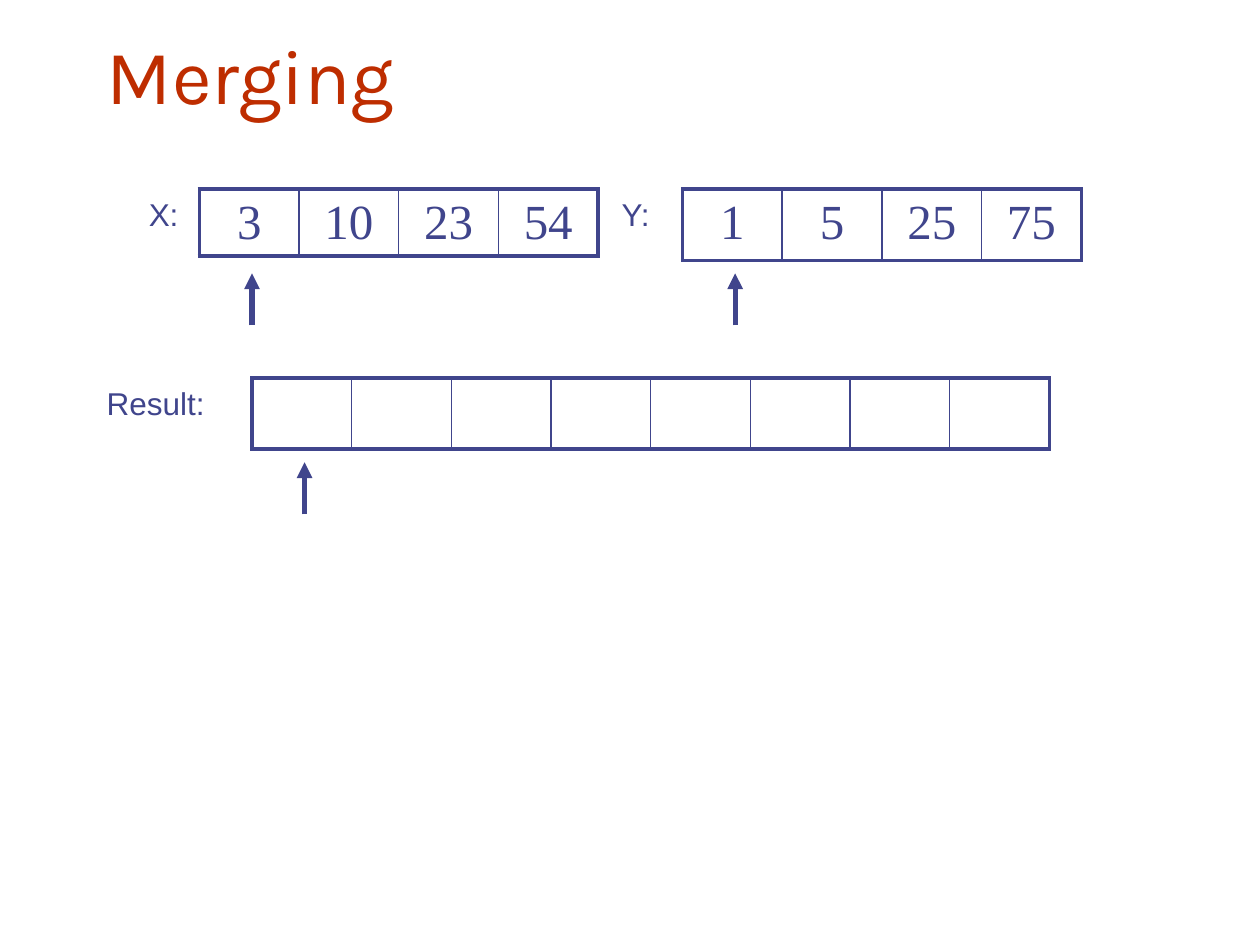
import pptx
import pptx.dml.color
import pptx.enum.shapes
import pptx.enum.text
import pptx.oxml
import pptx.oxml.ns
import pptx.util
from lxml import etree
from pptx.util import Cm

INDIGO = "40458C"
RUST = "BE2D00"
CELL_WIDTH = 2.01
THIN, THICK = 1, 2.25


def color(hex_code):
    return pptx.dml.color.RGBColor.from_string(hex_code)


def add_child(parent, tag, **attributes):
    return etree.SubElement(parent, pptx.oxml.ns.qn(tag), **attributes)


def write(frame, text, *, size, font, hex_code=INDIGO, align="LEFT"):
    para = frame.paragraphs[0]
    para.alignment = getattr(pptx.enum.text.PP_ALIGN, align)
    span = para.add_run()
    span.text = text
    span.font.size = pptx.util.Pt(size)
    span.font.name = font
    span.font.color.rgb = color(hex_code)


def set_title(page, text):
    title = page.shapes.title
    title.left, title.top, title.width, title.height = Cm(1.9), Cm(0.42), Cm(21.6), Cm(2.12)
    title.text_frame.auto_size = pptx.enum.text.MSO_AUTO_SIZE.NONE
    title.text_frame.vertical_anchor = pptx.enum.text.MSO_ANCHOR.BOTTOM
    write(title.text_frame, text, size=44, font="Karla", hex_code=RUST)


def add_label(page, text, left, top, width):
    box = page.shapes.add_textbox(Cm(left), Cm(top), Cm(width), Cm(1.27))
    box.text_frame.word_wrap = True
    write(box.text_frame, text, size=18, font="Arial")


def set_borders(cell, **widths):
    """Draw the cell's borders; schema order is lnL, lnR, lnT, lnB, before the fill."""
    properties = cell._tc.get_or_add_tcPr()
    for side, width in widths.items():
        line = add_child(properties, f"a:ln{side}", w=str(pptx.util.Pt(width)))
        fill = add_child(line, "a:solidFill")
        add_child(fill, "a:srgbClr", val=INDIGO)
    cell.fill.background()


def add_array(page, values, left, top, height):
    """Add a one-row table with a thick frame and thin inner lines."""
    count = len(values)
    frame = page.shapes.add_table(1, count, Cm(left), Cm(top), Cm(CELL_WIDTH * count), Cm(height))
    table = frame.table
    table.first_row = table.horz_banding = False
    for index, value in enumerate(values):
        table.columns[index].width = Cm(CELL_WIDTH)
        cell = table.cell(0, index)
        set_borders(
            cell,
            L=THICK if index == 0 else THIN,
            R=THICK if index == count - 1 else THIN,
            T=THICK,
            B=THICK,
        )
        if value:
            write(cell.text_frame, value, size=28, font="Times New Roman", align="CENTER")


def add_pointer(page, x, top):
    """Add an upward arrow whose tip is at (x, top)."""
    arrow = page.shapes.add_connector(
        pptx.enum.shapes.MSO_CONNECTOR.STRAIGHT, Cm(x), Cm(top + 1.05), Cm(x), Cm(top)
    )
    arrow.line.color.rgb = color(INDIGO)
    arrow.line.width = pptx.util.Pt(3)
    add_child(arrow.line._get_or_add_ln(), "a:tailEnd", type="triangle")
    add_child(arrow._element.spPr, "a:effectLst")


def main():
    deck = pptx.Presentation()
    deck.slide_width, deck.slide_height = Cm(25.4), Cm(19.05)
    page = deck.slides.add_slide(deck.slide_layouts[5])
    set_title(page, "Merging")

    # label, label left, label width, values, array left, top, height, pointer x
    arrays = [
        ("X:", 2.75, 1.48, ["3", "10", "23", "54"], 4.02, 3.81, 1.2, 5.08),
        ("Y:", 12.28, 1.48, ["1", "5", "25", "75"], 13.76, 3.81, 1.2, 14.82),
        ("Result:", 1.9, 2.96, [""] * 8, 5.08, 7.62, 1.43, 6.14),
    ]
    for label, label_left, label_width, values, left, top, height, pointer_x in arrays:
        add_array(page, values, left, top, height)
        add_pointer(page, pointer_x, top + 1.7)
        add_label(page, label, label_left, top, label_width)

    deck.save("out.pptx")


if __name__ == "__main__":
    main()
